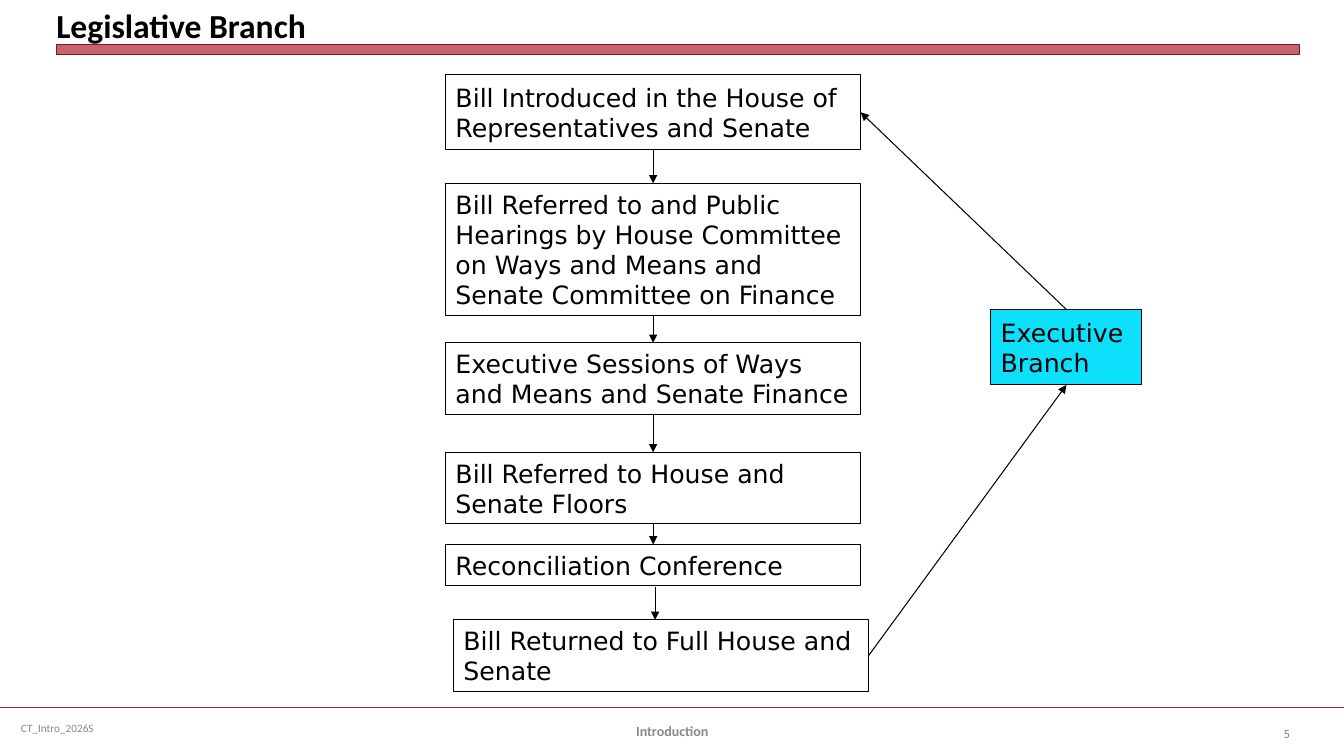
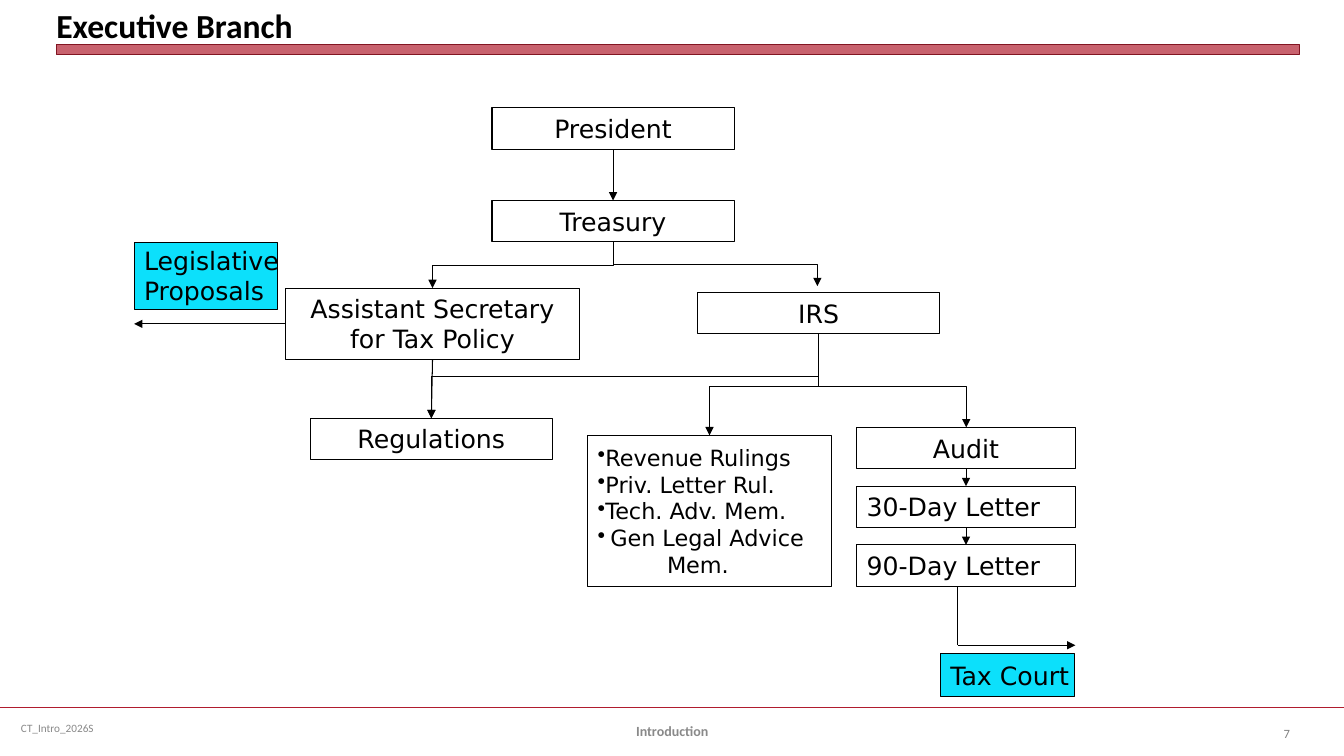
from dataclasses import dataclass

import pptx
import pptx.dml.color
import pptx.enum.shapes
import pptx.enum.text
import pptx.oxml.ns
import pptx.presentation
import pptx.shapes.autoshape
import pptx.shapes.connector
import pptx.slide
import pptx.text.text
import pptx.util
from lxml import etree

Cm = pptx.util.Cm
Pt = pptx.util.Pt
qn = pptx.oxml.ns.qn
Align = pptx.enum.text.PP_ALIGN
Anchor = pptx.enum.text.MSO_ANCHOR
Connector = pptx.enum.shapes.MSO_CONNECTOR
RECTANGLE = pptx.enum.shapes.MSO_SHAPE.RECTANGLE
Shape = pptx.shapes.autoshape.Shape
Line = pptx.shapes.connector.Connector

BLACK, RED, DARK_RED, CYAN = "000000", "B01C2E", "821522", "0CE0FB"
GREY, PAGE_GREY = "898989", "808080"
HEADING_FONT, BODY_FONT = "Calibri", "DejaVu Sans"
SLIDE_WIDTH, SLIDE_HEIGHT = 33.87, 19.05
TOP, LEFT, BOTTOM, RIGHT = range(4)
STEP_LEFT, STEP_WIDTH = 11.23, 10.46
UNIT_WIDTH, UNIT_HEIGHT = 6.1, 1.04
AUDIT_LEFT, AUDIT_WIDTH, AUDIT_TOP, AUDIT_PITCH = 21.59, 5.51, 10.77, 1.48


@dataclass(frozen=True)
class Box:
    """A bordered box of the diagram, in centimetres."""
    text: str
    left: float
    top: float
    width: float
    height: float
    fill: str | None = None
    align: Align = Align.LEFT
    size: float = 18
    wrap: bool = True


@dataclass(frozen=True)
class Label:
    """A borderless text of the slide frame, in centimetres."""
    text: str
    left: float
    top: float
    width: float
    size: float
    color: str
    bold: bool = False
    align: Align = Align.LEFT
    anchor: Anchor = Anchor.MIDDLE
    inset: bool = True


@dataclass(frozen=True)
class Elbow:
    """An arrow going down to middle, sideways, and down again."""
    start: tuple[float, float]
    end: tuple[float, float]
    middle: float


def rgb(color: str) -> pptx.dml.color.RGBColor:
    return pptx.dml.color.RGBColor.from_string(color)


def style_text(frame: pptx.text.text.TextFrame, font: str, size: float, color: str,
               bold: bool, align: Align) -> None:
    for paragraph in frame.paragraphs:
        paragraph.alignment = align
        for run in paragraph.runs:
            run.font.name = font
            run.font.size = Pt(size)
            run.font.bold = bold
            run.font.color.rgb = rgb(color)


def add_label(slide: pptx.slide.Slide, label: Label) -> None:
    shape = slide.shapes.add_textbox(Cm(label.left), Cm(label.top), Cm(label.width), Cm(1.02))
    frame = shape.text_frame
    frame.text = label.text
    frame.word_wrap = True
    frame.vertical_anchor = label.anchor
    if not label.inset:
        frame.margin_left = frame.margin_right = frame.margin_top = frame.margin_bottom = 0
    style_text(frame, HEADING_FONT, label.size, label.color, label.bold, label.align)


def add_rectangle(slide: pptx.slide.Slide, left: float, top: float, width: float,
                  height: float, fill: str | None, border: str, weight: float) -> Shape:
    shape = slide.shapes.add_shape(RECTANGLE, Cm(left), Cm(top), Cm(width), Cm(height))
    shape.shadow.inherit = False
    if fill:
        shape.fill.solid()
        shape.fill.fore_color.rgb = rgb(fill)
    else:
        shape.fill.background()
    shape.line.color.rgb = rgb(border)
    shape.line.width = Pt(weight)
    return shape


def add_box(slide: pptx.slide.Slide, box: Box) -> Shape:
    shape = add_rectangle(slide, box.left, box.top, box.width, box.height,
                          box.fill, BLACK, 0.75)
    frame = shape.text_frame
    frame.text = box.text
    frame.word_wrap = box.wrap
    frame.vertical_anchor = Anchor.MIDDLE
    style_text(frame, BODY_FONT, box.size, BLACK, False, box.align)
    return shape


def style_line(line: Line, color: str = BLACK, weight: float = 0.75,
               arrow: bool = True) -> None:
    line.line.color.rgb = rgb(color)
    line.line.width = Pt(weight)
    properties = line.element.spPr
    if arrow:
        etree.SubElement(properties.find(qn("a:ln")), qn("a:tailEnd"), type="triangle")
    etree.SubElement(properties, qn("a:effectLst"))


def add_straight(slide: pptx.slide.Slide, start: tuple[float, float],
                 end: tuple[float, float]) -> Line:
    return slide.shapes.add_connector(Connector.STRAIGHT, *map(Cm, start + end))


def join(slide: pptx.slide.Slide, source: Shape, target: Shape,
         source_side: int = BOTTOM, target_side: int = TOP) -> None:
    """Draw an arrow between the side middles of two boxes."""
    arrow = add_straight(slide, (0, 0), (0, 0))
    arrow.begin_connect(source, source_side)
    arrow.end_connect(target, target_side)
    style_line(arrow)


def add_elbow(slide: pptx.slide.Slide, elbow: Elbow) -> None:
    (x1, y1), (x2, y2) = elbow.start, elbow.end
    center_x, center_y = (x1 + x2) / 2, (y1 + y2) / 2
    to_right = x2 > x1
    half_drop = (y2 - y1) / 2 * (-1 if to_right else 1)
    half_span = abs(x2 - x1) / 2
    arrow = slide.shapes.add_connector(
        Connector.ELBOW,
        Cm(center_x - half_drop), Cm(center_y - half_span),
        Cm(center_x + half_drop), Cm(center_y + half_span))
    properties = arrow.element.spPr
    properties.find(qn("a:xfrm")).set("rot", str((270 if to_right else 90) * 60000))
    bend = round((elbow.middle - y1) / (y2 - y1) * 100000)
    adjustments = properties.find(qn("a:prstGeom")).find(qn("a:avLst"))
    etree.SubElement(adjustments, qn("a:gd"), name="adj1", fmla=f"val {bend}")
    style_line(arrow)


def add_bullet(paragraph: pptx.text.text._Paragraph, hanging: float = 0) -> None:
    properties = paragraph._p.get_or_add_pPr()
    properties.set("marL", str(Cm(hanging)))
    properties.set("indent", str(-Cm(hanging)))
    etree.SubElement(properties, qn("a:buChar"), char="•")


def add_framed_slide(deck: pptx.presentation.Presentation, title: str,
                     number: int) -> pptx.slide.Slide:
    """Add a blank slide with title, band and footer."""
    slide = deck.slides.add_slide(deck.slide_layouts[6])
    footer_rule = add_straight(slide, (0, 17.83), (SLIDE_WIDTH, 17.83))
    style_line(footer_rule, RED, 1.25, arrow=False)
    band = add_rectangle(slide, 1.42, 1.13, 31.32, 0.25, RED, DARK_RED, 0)
    band_color = band.element.spPr.find(qn("a:solidFill"))[0]
    etree.SubElement(band_color, qn("a:alpha"), val="69000")
    for label in (
        Label("CT_Intro_2026S", 0.28, 17.83, 8.74, 8, GREY),
        Label(title, 1.42, 0.12, 31.32, 24, BLACK, True, anchor=Anchor.BOTTOM, inset=False),
        Label("Introduction", 11.58, 17.91, 10.72, 10, GREY, True, Align.CENTER),
        Label(str(number), 31.06, 17.98, 1.7, 9, PAGE_GREY, align=Align.RIGHT),
    ):
        add_label(slide, label)
    return slide


def add_legislative_slide(deck: pptx.presentation.Presentation) -> None:
    slide = add_framed_slide(deck, "Legislative Branch", 5)
    steps = [
        add_box(slide, Box(text, STEP_LEFT, top, STEP_WIDTH, height))
        for text, top, height in (
            ("Bill Introduced in the House of Representatives and Senate", 1.88, 1.9),
            ("Bill Referred to and Public Hearings by House Committee on Ways and "
             "Means and Senate Committee on Finance", 4.62, 3.33),
            ("Executive Sessions of Ways and Means and Senate Finance", 8.64, 1.8),
            ("Bill Referred to House and Senate Floors", 11.4, 1.8),
            ("Reconciliation Conference", 13.72, UNIT_HEIGHT),
        )
    ]
    returned = add_box(slide, Box("Bill Returned to Full House and Senate",
                                  11.43, 15.62, STEP_WIDTH, 1.8))
    executive = add_box(slide, Box("Executive Branch", 24.97, 7.8, 3.81, 1.9, CYAN))
    for source, target in zip(steps, steps[1:]):
        join(slide, source, target)
    style_line(add_straight(slide, (16.51, 14.78), (16.51, 15.62)))
    join(slide, returned, executive, RIGHT, BOTTOM)
    join(slide, executive, steps[0], TOP, RIGHT)


def add_executive_slide(deck: pptx.presentation.Presentation) -> None:
    slide = add_framed_slide(deck, "Executive Branch", 7)
    president, treasury, regulations, _ = [
        add_box(slide, Box(text, left, top, UNIT_WIDTH, UNIT_HEIGHT, align=Align.CENTER))
        for text, left, top in (
            ("President", 12.4, 2.72),
            ("Treasury", 12.4, 5.05),
            ("Regulations", 7.82, 10.54),
            ("IRS", 17.58, 7.37),
        )
    ]
    assistant = add_box(slide, Box("Assistant Secretary for Tax Policy",
                                   7.19, 7.26, 7.42, 1.8, align=Align.CENTER))
    audit, first_letter, second_letter = [
        add_box(slide, Box(text, AUDIT_LEFT, AUDIT_TOP + index * AUDIT_PITCH,
                           AUDIT_WIDTH, UNIT_HEIGHT, align=align))
        for index, (text, align) in enumerate((
            ("Audit", Align.CENTER),
            ("30-Day Letter", Align.LEFT),
            ("90-Day Letter", Align.LEFT),
        ))
    ]
    add_box(slide, Box("Legislative\nProposals", 3.38, 6.1, 3.61, 1.7, CYAN, wrap=False))
    add_box(slide, Box("Tax Court", 23.7, 16.48, 3.38, 1.07, CYAN, wrap=False))

    guidance = add_box(slide, Box(
        "Revenue Rulings\nPriv. Letter Rul.\nTech. Adv. Mem.\nGen Legal Advice\nMem.",
        14.81, 10.97, 6.15, 3.81, size=16))
    *rulings, legal_advice, memo = guidance.text_frame.paragraphs
    for ruling in rulings:
        add_bullet(ruling)
    add_bullet(legal_advice, 0.32)
    memo._p.get_or_add_pPr().set("marL", str(Cm(1.75)))

    for source, target in ((president, treasury), (assistant, regulations),
                           (audit, first_letter), (first_letter, second_letter)):
        join(slide, source, target)
    proposal_arrow = add_straight(slide, (7.19, 8.16), (3.38, 8.16))
    proposal_arrow.begin_connect(assistant, LEFT)
    style_line(proposal_arrow)
    court_corner = (24.13, 16.26)
    style_line(add_straight(slide, (24.13, 14.78), court_corner), arrow=False)
    style_line(add_straight(slide, court_corner, (27.1, 16.26)))

    below_treasury, below_irs = (15.45, 6.09), (20.63, 8.42)
    for elbow in (
        Elbow(below_treasury, (10.9, 7.26), 6.68),
        Elbow(below_treasury, (20.6, 7.21), 6.66),
        Elbow(below_irs, (17.88, 10.97), 9.73),
        Elbow(below_irs, (24.35, 10.77), 9.73),
        Elbow(below_irs, (10.87, 10.54), 9.48),
    ):
        add_elbow(slide, elbow)


def main() -> None:
    deck = pptx.Presentation()
    deck.slide_width, deck.slide_height = Cm(SLIDE_WIDTH), Cm(SLIDE_HEIGHT)
    add_legislative_slide(deck)
    add_executive_slide(deck)
    deck.save("out.pptx")


if __name__ == "__main__":
    main()
